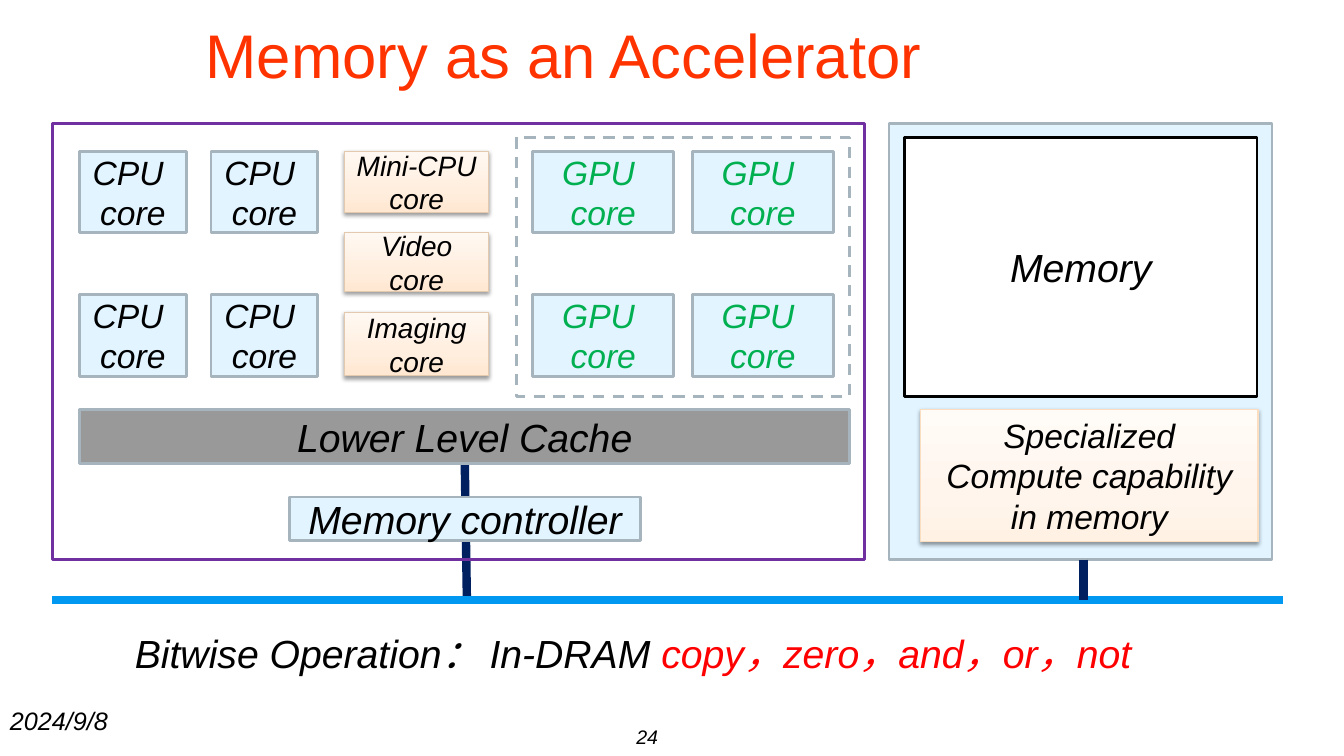
import lxml.etree
import pptx
import pptx.dml.color
import pptx.enum.dml
import pptx.enum.shapes
import pptx.enum.text
import pptx.oxml
import pptx.oxml.ns
import pptx.util

Pt = pptx.util.Pt
ALIGN = pptx.enum.text.PP_ALIGN
ANCHOR = pptx.enum.text.MSO_ANCHOR
FONT = "Arial"
PALE, EDGE, NAVY, BLACK = "E1F4FF", "A6B5BD", "002060", "000000"
PEACH = ("FFE7D1", "FFEEDE", "FFF8F2")
LIGHT_PEACH = ("FFF1E4", "FFF5EC", "FFFBF7")
BUS_Y = 428.4


def rgb(value):
    """Turn a hex string into a colour."""
    return pptx.dml.color.RGBColor.from_string(value)


def add_runs(paragraph, runs, size, italic=True, align=ALIGN.CENTER):
    """Fill a paragraph with (text, colour) runs."""
    paragraph.alignment = align
    for text, color in runs:
        run = paragraph.add_run()
        run.text = text
        run.font.name = FONT
        run.font.size = Pt(size)
        run.font.italic = italic
        run.font.color.rgb = rgb(color)


def add_block(slide, box, lines=(), size=24, fill=PALE, edge=EDGE, weight=2, color=BLACK):
    """Draw a rectangle with centred italic lines."""
    block = slide.shapes.add_shape(pptx.enum.shapes.MSO_SHAPE.RECTANGLE, *map(Pt, box))
    block.shadow.inherit = False
    if fill:
        block.fill.solid()
        block.fill.fore_color.rgb = rgb(fill)
    else:
        block.fill.background()
    block.line.color.rgb = rgb(edge)
    block.line.width = Pt(weight)
    frame = block.text_frame
    frame.word_wrap = True
    frame.vertical_anchor = ANCHOR.MIDDLE
    for index, line in enumerate(lines):
        paragraph = frame.add_paragraph() if index else frame.paragraphs[0]
        add_runs(paragraph, [(line, color)], size)
    return block


def add_raised_block(slide, box, lines, size, shades, edge):
    """Draw a peach block with an upward gradient and a soft shadow."""
    block = add_block(slide, box, lines, size, edge=edge, weight=0.75)
    namespace = pptx.oxml.ns.nsdecls("a")
    stops = "".join(
        f'<a:gs pos="{position}"><a:srgbClr val="{shade}"/></a:gs>'
        for position, shade in zip((0, 35000, 100000), shades)
    )
    gradient = pptx.oxml.parse_xml(
        f'<a:gradFill {namespace} rotWithShape="1"><a:gsLst>{stops}</a:gsLst>'
        '<a:lin ang="16200000" scaled="0"/></a:gradFill>'
    )
    shadow = pptx.oxml.parse_xml(
        f'<a:outerShdw {namespace} blurRad="{Pt(3.1)}" dist="{Pt(1.6)}" dir="5400000" '
        'rotWithShape="0"><a:srgbClr val="000000"><a:alpha val="38000"/></a:srgbClr></a:outerShdw>'
    )
    properties = block.fill._xPr
    properties.replace(properties.find(pptx.oxml.ns.qn("a:solidFill")), gradient)
    properties.find(pptx.oxml.ns.qn("a:effectLst")).append(shadow)


def add_wire(slide, start, end, color=NAVY):
    """Draw a thick straight line."""
    wire = slide.shapes.add_connector(
        pptx.enum.shapes.MSO_CONNECTOR.STRAIGHT, *map(Pt, start + end)
    )
    wire.line.color.rgb = rgb(color)
    wire.line.width = Pt(6)
    lxml.etree.SubElement(wire._element.spPr, pptx.oxml.ns.qn("a:effectLst"))


def add_cores(slide, left, top, label, width, column_pitch, color):
    """Draw a two by two grid of cores."""
    for row in range(2):
        for column in range(2):
            box = (left + column * column_pitch, top + row * 102.4, width, 58.4)
            add_block(slide, box, (label, "core"), color=color)


def add_processor(slide, left, top, width, height):
    """Draw the chip with its cores, cache and memory controller."""
    add_wire(slide, (left + 294.5, top + 242.7), (left + 296, BUS_Y))
    add_cores(slide, left + 19.2, top + 19.5, "CPU ", 76.4, 94, BLACK)
    special_cores = (
        (19.5, 44, ["Mini-CPU core"]),
        (77.8, 42, ["Video", "core"]),
        (134.7, 45.4, ["Imaging core"]),
    )
    for offset, core_height, lines in special_cores:
        box = (left + 208.7, top + offset, 103, core_height)
        add_raised_block(slide, box, lines, 20, PEACH, "E3C9AD")
    add_cores(slide, left + 343, top + 19.5, "GPU ", 100.8, 114, "00B050")
    gpu_area = add_block(slide, (left + 331.2, top + 9.5, 238.3, 185), fill=None)
    gpu_area.line.dash_style = pptx.enum.dml.MSO_LINE.DASH
    add_block(slide, (left + 19.4, top + 203.8, 550, 39), ["Lower Level Cache"], 28, "999999")
    add_block(slide, (left + 169, top + 266.5, 251.3, 31), ["Memory controller"], 28)
    add_block(slide, (left, top, width, height), fill=None, edge="7030A0", weight=2.25)


def add_memory(slide, left, top, width, height):
    """Draw the memory module with its compute part."""
    add_block(slide, (left, top, width, height))
    add_block(slide, (left + 11, top + 9.5, 252, 185), ["Memory"], 28, "FFFFFF", BLACK)
    add_raised_block(
        slide, (left + 22.4, top + 203.8, 241.2, 94.4),
        ["Specialized", "Compute capability in memory"], 24, LIGHT_PEACH, "FBDDBF",
    )
    add_wire(slide, (left + 139, top + height), (left + 139, BUS_Y))


def add_title(slide, left, top, width, height):
    """Place and format the title."""
    title = slide.shapes.title
    title.left, title.top, title.width, title.height = map(Pt, (left, top, width, height))
    title.fill.solid()
    title.fill.fore_color.rgb = rgb("FFFFFF")
    frame = title.text_frame
    frame.auto_size = pptx.enum.text.MSO_AUTO_SIZE.NONE
    frame.vertical_anchor = ANCHOR.MIDDLE
    add_runs(frame.paragraphs[0], [("Memory as an Accelerator", "FF3300")], 44, False, ALIGN.LEFT)


def add_note(slide, box, runs, size, align):
    """Add a wrapped italic text box."""
    frame = slide.shapes.add_textbox(*map(Pt, box)).text_frame
    frame.word_wrap = True
    add_runs(frame.paragraphs[0], runs, size, align=align)


def main():
    """Build and save the slide."""
    deck = pptx.Presentation()
    deck.slide_width, deck.slide_height = Pt(960), Pt(540)
    slide = deck.slides.add_slide(deck.slide_layouts.get_by_name("Title Only"))
    add_title(slide, 139.7, 0, 794, 77)
    add_processor(slide, 37.5, 88.5, 580.3, 311.2)
    add_wire(slide, (37.5, BUS_Y), (916.6, BUS_Y), "0098F0")
    add_memory(slide, 635, 88.5, 273.6, 311.2)
    operations = [("Bitwise Operation： In-DRAM ", BLACK), ("copy，zero，and，or，not", "FF0000")]
    add_note(slide, (66.2, 445.7, 772, 41), operations, 28, ALIGN.CENTER)
    add_note(slide, (0, 500.4, 216, 29), [("2024/9/8", BLACK)], 18, ALIGN.LEFT)
    add_note(slide, (277.2, 514, 200, 26), [("24", BLACK)], 14, ALIGN.RIGHT)
    deck.save("out.pptx")


if __name__ == "__main__":
    main()
